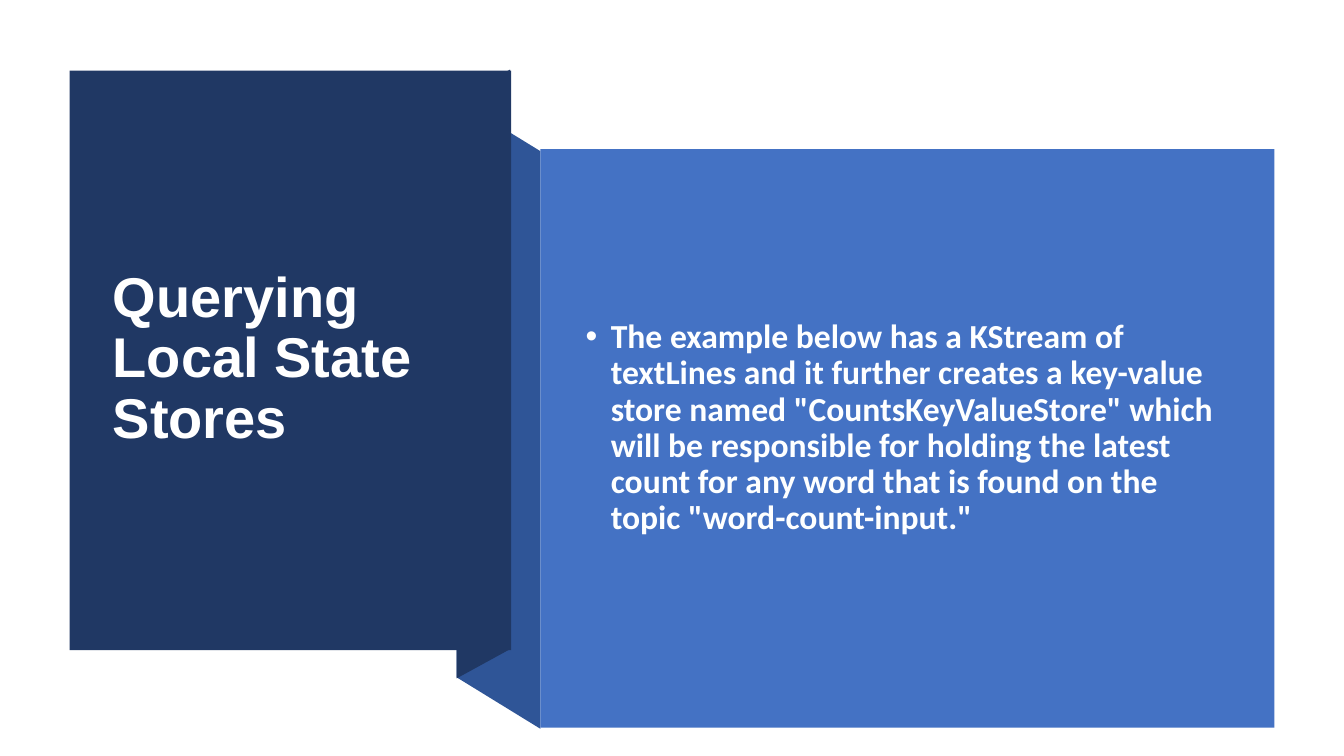
from lxml.etree import SubElement
from pptx import Presentation
from pptx.dml.color import RGBColor
from pptx.enum.shapes import MSO_SHAPE
from pptx.enum.text import MSO_ANCHOR, PP_ALIGN
from pptx.oxml.ns import qn
from pptx.util import Inches, Pt

NAVY, FOLD_BLUE, PANEL_BLUE = "203864", "2F5597", "4472C4"
TITLE_FORMAT = {"name": "Arial", "size": Pt(40), "bold": True}
BODY_FORMAT = {"name": "Calibri", "size": Pt(24), "bold": True}


def color(value):
    return RGBColor.from_string(value)


class RibbonSlide:
    """Draws the elements of a folded ribbon slide."""

    def __init__(self, presentation):
        self.slide = presentation.slides.add_slide(presentation.slide_layouts[6])

    def paint(self, shape, fill):
        shape.shadow.inherit = False
        shape.fill.solid()
        shape.fill.fore_color.rgb = color(fill)
        shape.line.fill.background()

    def outline(self, points, fill):
        corners = [(Inches(x), Inches(y)) for x, y in points]
        builder = self.slide.shapes.build_freeform(*corners[0], scale=1.0)
        builder.add_line_segments(corners[1:], close=True)
        self.paint(builder.convert_to_shape(), fill)

    def rectangle(self, box, fill):
        shape = self.slide.shapes.add_shape(MSO_SHAPE.RECTANGLE, *map(Inches, box))
        self.paint(shape, fill)

    def text(self, box, words, font_format, font_color, bullet=None):
        shape = self.slide.shapes.add_textbox(*map(Inches, box))
        frame = shape.text_frame
        frame.word_wrap = True
        frame.vertical_anchor = MSO_ANCHOR.MIDDLE
        paragraph = frame.paragraphs[0]
        paragraph.text = words
        paragraph.alignment = PP_ALIGN.LEFT
        paragraph.line_spacing = 0.9
        if bullet:
            properties = paragraph._p.get_or_add_pPr()
            properties.set("marL", str(Inches(0.25)))
            properties.set("indent", str(Inches(-0.25)))
            SubElement(properties, qn("a:buFont"), typeface="Arial")
            SubElement(properties, qn("a:buChar"), char=bullet)
        font = paragraph.runs[0].font
        for name, value in font_format.items():
            setattr(font, name, value)
        font.color.rgb = color(font_color)


def main():
    presentation = Presentation()
    presentation.slide_width = Inches(13.33)
    presentation.slide_height = Inches(7.5)
    ribbon = RibbonSlide(presentation)
    ribbon.outline([(5.36, 7.23), (4.53, 6.72), (4.53, 0.99), (5.36, 1.5)], FOLD_BLUE)
    ribbon.outline([(5.06, 6.44), (4.53, 6.73), (4.53, 0.98), (5.06, 0.69)], NAVY)
    ribbon.rectangle((0.69, 0.7, 4.38, 5.75), NAVY)
    ribbon.text((1.02, 1.07, 3.71, 4.99), "Querying Local State Stores", TITLE_FORMAT, "FFFFFF")
    ribbon.rectangle((5.36, 1.48, 7.28, 5.74), PANEL_BLUE)
    ribbon.text(
        (5.71, 1.88, 6.51, 4.74),
        "The example below has a KStream of textLines and it further creates a key-value store "
        'named "CountsKeyValueStore" which will be responsible for holding the latest count '
        'for any word that is found on the topic "word-count-input."',
        BODY_FORMAT, "FEFFFF", bullet="•",
    )
    presentation.save("out.pptx")


if __name__ == "__main__":
    main()
